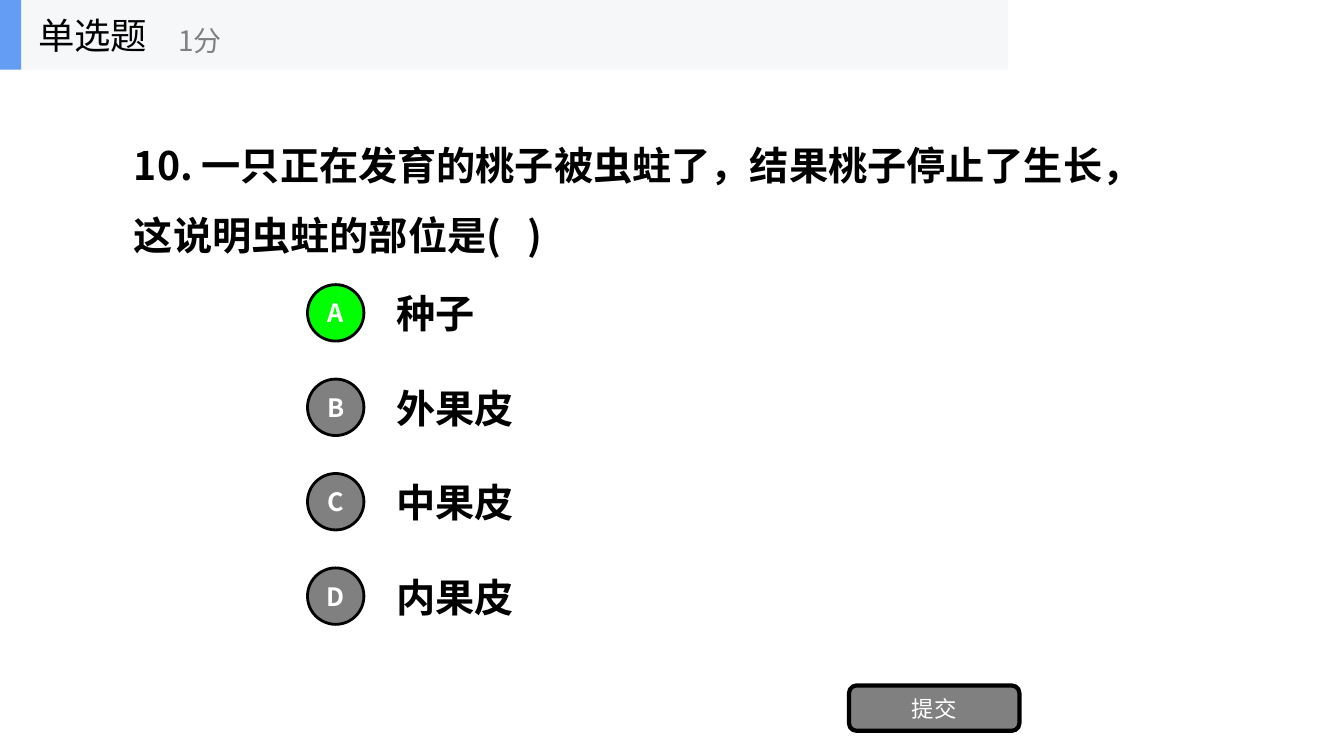
from typing import NamedTuple

from lxml.etree import SubElement
from pptx import Presentation
from pptx.dml.color import RGBColor
from pptx.enum.shapes import MSO_SHAPE
from pptx.enum.text import MSO_ANCHOR, MSO_AUTO_SIZE, PP_ALIGN
from pptx.oxml.ns import qn
from pptx.util import Inches, Pt

FONT = "Noto Sans CJK SC"
BLACK = RGBColor(0x00, 0x00, 0x00)
WHITE = RGBColor(0xFF, 0xFF, 0xFF)
GRAY = RGBColor(0x80, 0x80, 0x80)
GREEN = RGBColor(0x00, 0xFF, 0x00)
BLUE = RGBColor(0x63, 0x9E, 0xF4)
PALE = RGBColor(0xF6, 0xF7, 0xF8)

WIDTH, HEIGHT = Inches(13.33), Inches(7.5)
OPTION_TOP, OPTION_PITCH = 37.65, 12.49


class Box(NamedTuple):
    """Left, top, width and height in percent of the slide's size."""

    x: float
    y: float
    w: float
    h: float

    def emu(self) -> tuple[int, int, int, int]:
        """Return the box in slide units."""
        return (int(WIDTH * self.x / 100), int(HEIGHT * self.y / 100),
                int(WIDTH * self.w / 100), int(HEIGHT * self.h / 100))


class Option(NamedTuple):
    """One answer: its letter, wording, text width and button colour."""

    letter: str
    text: str
    width: float
    fill: RGBColor


OPTIONS = [
    Option("A", "种子", 7.73, GREEN),
    Option("B", "外果皮", 10.43, GRAY),
    Option("C", "中果皮", 10.43, GRAY),
    Option("D", "内果皮", 10.43, GRAY),
]


def write(tf, text: str, *, size: int, color: RGBColor, bold: bool = False,
          align: PP_ALIGN = PP_ALIGN.LEFT, spacing: float = 1.0, wrap: bool = True) -> None:
    """Write one formatted paragraph into a text frame."""
    tf.word_wrap = wrap
    tf.vertical_anchor = MSO_ANCHOR.MIDDLE
    p = tf.paragraphs[0]
    p.alignment, p.line_spacing = align, spacing
    r = p.add_run()
    r.text = text
    r.font.size, r.font.bold, r.font.name = Pt(size), bold, FONT
    r.font.color.rgb = color
    SubElement(r._r.get_or_add_rPr(), qn("a:ea"), typeface=FONT)


def add_text(slide, box: Box, text: str, *, grow: bool = False, **fmt) -> None:
    """Add a text box."""
    tf = slide.shapes.add_textbox(*box.emu()).text_frame
    write(tf, text, **fmt)
    tf.auto_size = MSO_AUTO_SIZE.SHAPE_TO_FIT_TEXT if grow else MSO_AUTO_SIZE.NONE


def add_block(slide, kind: MSO_SHAPE, box: Box, fill: RGBColor, *,
              line: float = 0, text: str = "", **fmt) -> None:
    """Add a filled shape with an optional black outline and centred label."""
    sp = slide.shapes.add_shape(kind, *box.emu())
    sp.shadow.inherit = False
    sp.fill.solid()
    sp.fill.fore_color.rgb = fill
    if line:
        sp.line.color.rgb = BLACK
        sp.line.width = Pt(line)
    else:
        sp.line.fill.background()
    if text:
        tf = sp.text_frame
        tf.margin_left = tf.margin_right = tf.margin_top = tf.margin_bottom = 0
        write(tf, text, color=WHITE, align=PP_ALIGN.CENTER, **fmt)


def add_option(slide, row: int, option: Option) -> None:
    """Add one answer row with its round letter button."""
    y = OPTION_TOP + row * OPTION_PITCH
    add_text(slide, Box(28.73, y, option.width, 7.6), option.text,
             size=28, color=BLACK, bold=True, grow=True)
    add_block(slide, MSO_SHAPE.OVAL, Box(22.88, y, 4.2, 7.47), option.fill,
              line=2, text=option.letter, size=18, bold=True)


def add_header(slide) -> None:
    """Add the header bar with question type and score."""
    add_block(slide, MSO_SHAPE.RECTANGLE, Box(0, 0, 75.02, 9.2), PALE)
    add_block(slide, MSO_SHAPE.RECTANGLE, Box(0, 0, 1.58, 9.2), BLUE)
    add_text(slide, Box(2.1, 0, 15.6, 9.2), "单选题", size=26, color=BLACK, wrap=False)
    add_text(slide, Box(12.53, 1.6, 18.75, 7.47), "1分", size=20, color=GRAY, wrap=False)


def main() -> None:
    """Build and save the quiz slide."""
    prs = Presentation()
    prs.slide_width, prs.slide_height = WIDTH, HEIGHT
    slide = prs.slides.add_slide(prs.slide_layouts[6])
    add_text(slide, Box(9.23, 14.8, 79.14, 20.13),
             "10. 一只正在发育的桃子被虫蛀了，结果桃子停止了生长，这说明虫蛀的部位是(   )",
             size=28, color=BLACK, bold=True, spacing=1.5, grow=True)
    for row, option in enumerate(OPTIONS):
        add_option(slide, row, option)
    add_block(slide, MSO_SHAPE.ROUNDED_RECTANGLE, Box(63.17, 90.67, 12.68, 6), GRAY,
              line=3, text="提交", size=16)
    add_header(slide)
    prs.save("out.pptx")


if __name__ == "__main__":
    main()
